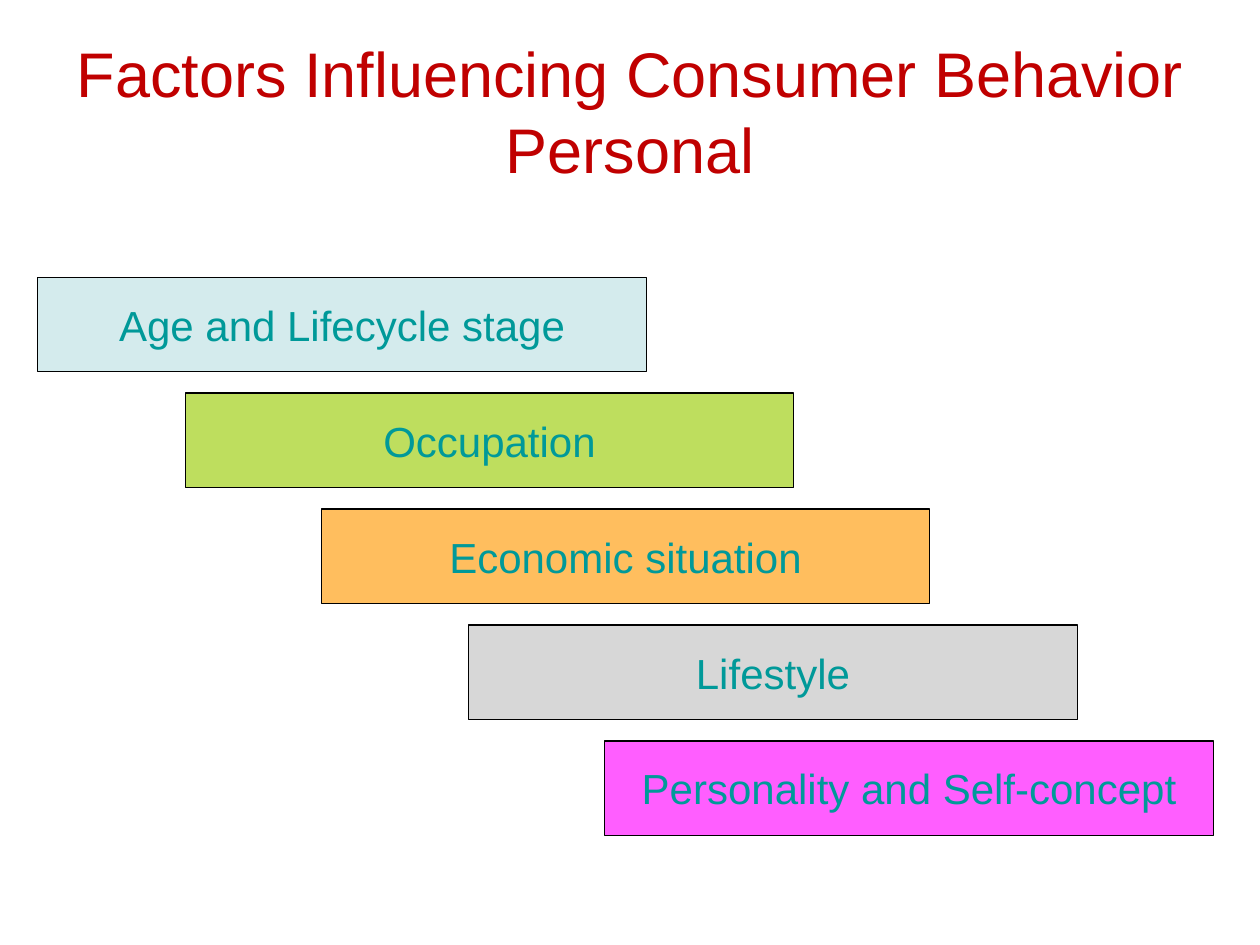
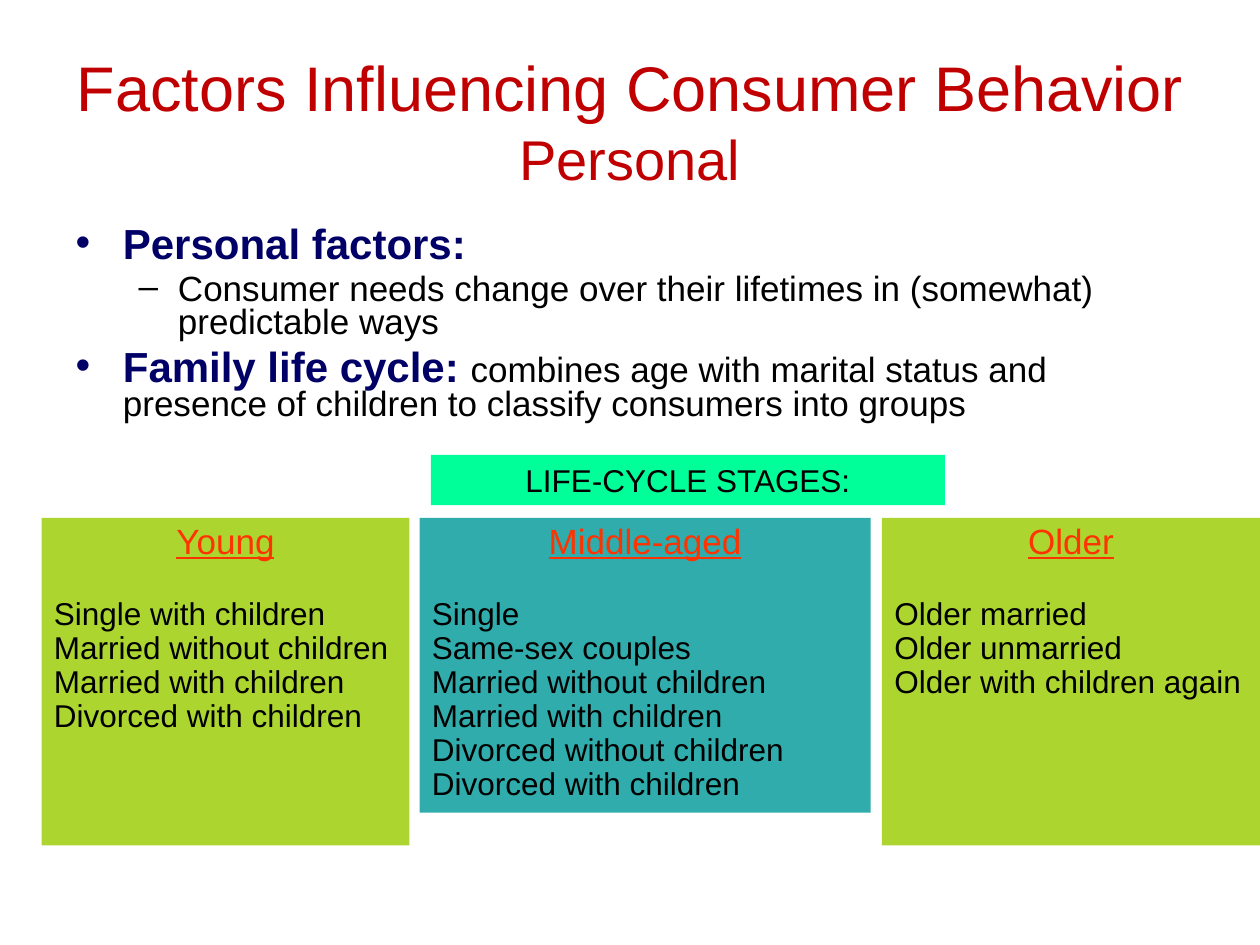
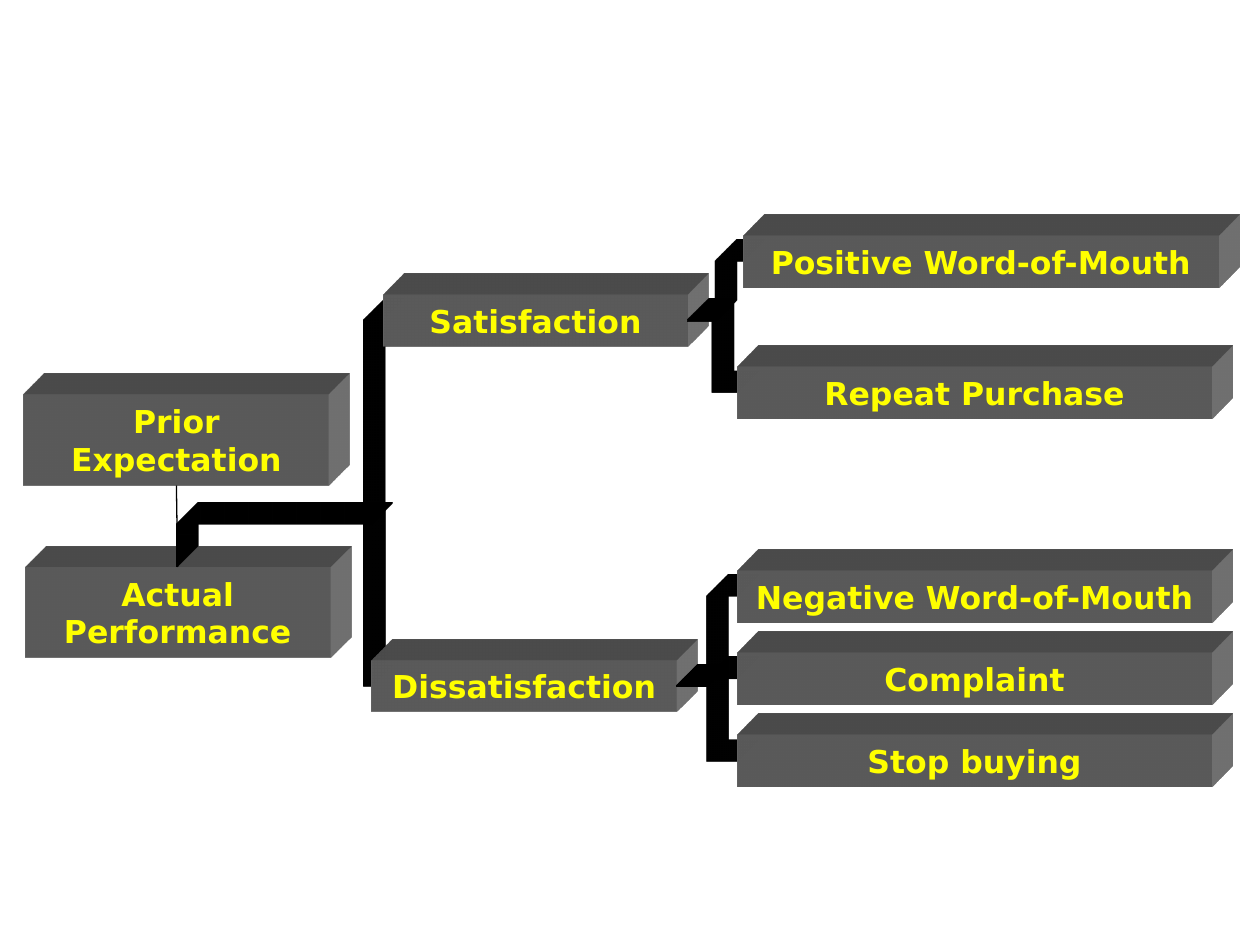
from lxml.etree import SubElement
from pptx import Presentation
from pptx.dml.color import RGBColor
from pptx.enum.shapes import MSO_CONNECTOR, MSO_SHAPE
from pptx.enum.text import MSO_ANCHOR, MSO_AUTO_SIZE, PP_ALIGN
from pptx.oxml import parse_xml
from pptx.oxml.ns import nsdecls, qn
from pptx.util import Inches, Pt

RED, NAVY, BLACK, TEAL = "C00000", "000066", "000000", "009999"
ORANGE, YELLOW, GRAY = "FF3300", "FFFF00", "808080"
HEADING = "Factors Influencing Consumer Behavior"


def style(p, size, color, bold=False, font="Arial", align=None):
    if align is not None:
        p.alignment = align
    for r in p.runs:
        r.font.name, r.font.size, r.font.bold = font, Pt(size), bold
        r.font.color.rgb = RGBColor.from_string(color)


def add_box(slide, x, y, w, h, fill, alpha=100):
    """Add a rectangle without outline; alpha is its opacity in percent."""
    sp = slide.shapes.add_shape(MSO_SHAPE.RECTANGLE, Inches(x), Inches(y), Inches(w), Inches(h))
    sp.shadow.inherit = False
    sp.fill.solid()
    sp.fill.fore_color.rgb = RGBColor.from_string(fill)
    if alpha < 100:
        color = sp._element.spPr.find(qn("a:solidFill"))[0]
        SubElement(color, qn("a:alpha"), val=str(alpha * 1000))
    sp.line.fill.background()
    sp.text_frame.word_wrap = True
    return sp


prs = Presentation()
prs.slide_width, prs.slide_height = Inches(10), Inches(7.5)
TITLE_AND_BODY, TITLE_ONLY, BLANK = (prs.slide_layouts[i] for i in (1, 5, 6))

# Titles of the first two slides
factors = prs.slides.add_slide(TITLE_ONLY)
stages = prs.slides.add_slide(TITLE_AND_BODY)
for slide, top, last_size in [(factors, 0.5, 36), (stages, 0.58, 32)]:
    title = slide.shapes.title
    title.left, title.top, title.width, title.height = map(Inches, (0.5, top, 9, 0.75))
    tf = title.text_frame
    tf.text = HEADING + "\vPersonal"
    tf.auto_size = MSO_AUTO_SIZE.NONE
    tf.vertical_anchor = MSO_ANCHOR.MIDDLE
    style(tf.paragraphs[0], 36, RED, align=PP_ALIGN.CENTER)
    tf.paragraphs[0].runs[-1].font.size = Pt(last_size)

# Slide 1: staircase of personal factors
STEPS = [
    ("Age and Lifecycle stage", 0.3, "BBE0E3"),
    ("Occupation", 1.47, "99CC00"),
    ("Economic situation", 2.55, "FF9900"),
    ("Lifestyle", 3.72, "C0C0C0"),
    ("Personality and Self-concept", 4.8, "FF00FF"),
]
for i, (text, left, fill) in enumerate(STEPS):
    sp = add_box(factors, left, 2.2 + 0.92 * i, 4.83, 0.75, fill, 63)
    sp.line.color.rgb = RGBColor.from_string(BLACK)
    sp.line.width = Pt(0.75)
    sp.text_frame.text = text
    style(sp.text_frame.paragraphs[0], 24, TEAL, align=PP_ALIGN.CENTER)

# Slide 2: bullets and life-cycle stages
BULLETS = [
    (0, "Personal factors:", ""),
    (1, "", "Consumer needs change over their lifetimes in (somewhat) predictable ways"),
    (0, "Family life cycle: ",
     "combines age with marital status and presence of children to classify consumers into groups"),
]
body = stages.placeholders[1]
body.left, body.top, body.width, body.height = map(Inches, (0.5, 1.75, 9, 1.77))
tf = body.text_frame
tf.auto_size = MSO_AUTO_SIZE.NONE
for i, (level, term, detail) in enumerate(BULLETS):
    p = tf.paragraphs[0] if i == 0 else tf.add_paragraph()
    p.level, p.line_spacing = level, 0.8
    for text in filter(None, (term, detail)):
        p.add_run().text = text
    style(p, 20, BLACK)
    if term:
        r = p.runs[0]
        r.font.size, r.font.bold = Pt(24), True
        r.font.color.rgb = RGBColor.from_string(NAVY)

CARDS = [
    ("Young", 0.33, 2.92, 2.6, "99CC00",
     ["Single with children", "Married without children", "Married with children",
      "Divorced with children"]),
    ("Middle-aged", 3.33, 3.58, 2.34, TEAL,
     ["Single", "Same-sex couples", "Married without children", "Married with children",
      "Divorced without children", "Divorced with children"]),
    ("Older", 7, 3, 2.6, "99CC00",
     ["Older married", "Older unmarried", "Older with children again"]),
]
for name, left, width, height, fill, groups in CARDS:
    tf = add_box(stages, left, 4.11, width, height, fill, 81).text_frame
    tf.vertical_anchor = MSO_ANCHOR.TOP
    tf.text = "\n".join([name] + groups)
    for p in tf.paragraphs:
        p.line_spacing = 0.9
        style(p, 18, BLACK, align=PP_ALIGN.LEFT)
    head = tf.paragraphs[0]
    style(head, 20, ORANGE, align=PP_ALIGN.CENTER)
    head.runs[0].font.underline = True
    head.space_after = Pt(21)

banner = add_box(stages, 3.42, 3.61, 4.08, 0.4, "00FF99")
banner.text_frame.text = "LIFE-CYCLE STAGES:"
style(banner.text_frame.paragraphs[0], 18, BLACK, align=PP_ALIGN.CENTER)

# Slide 3: from expectation to outcomes, all parts extruded
outcomes = prs.slides.add_slide(BLANK)
tree = outcomes.shapes._spTree
TOP, LEFT, BOTTOM, RIGHT = range(4)
JOIN_X, JOIN_Y = 2.89, 4.16
BOXES = [
    ("Actual Performance", 0.2, 4.5, 2.42, 0.72),
    ("Prior Expectation", 0.19, 3.13, 2.42, 0.72),
    ("Satisfaction", 3.04, 2.34, 2.42, 0.41),
    ("Dissatisfaction", 2.95, 5.24, 2.42, 0.41),
    ("Repeat Purchase", 5.85, 2.91, 3.77, 0.41),
    ("Positive Word-of-Mouth", 5.9, 1.87, 3.77, 0.41),
    ("Complaint", 5.85, 5.18, 3.77, 0.41),
    ("Stop buying", 5.85, 5.83, 3.77, 0.41),
    ("Negative Word-of-Mouth", 5.85, 4.53, 3.77, 0.41),
]
boxes = {}
for text, *place in BOXES:
    sp = boxes[text] = add_box(outcomes, *place, GRAY)
    sp.text_frame.text = text
    style(sp.text_frame.paragraphs[0], 18, YELLOW, True, "DejaVu Sans", PP_ALIGN.CENTER)

# Each link: start box and side, end box and side (or None for the joint), boxes in front of it
LINKS = [
    ("Satisfaction", LEFT, None, None, ["Satisfaction"]),
    ("Actual Performance", TOP, None, None, []),
    ("Actual Performance", TOP, "Prior Expectation", BOTTOM, ["Prior Expectation"]),
    ("Dissatisfaction", LEFT, None, None, ["Dissatisfaction"]),
]
for start, ends in [("Satisfaction", BOXES[4:6]), ("Dissatisfaction", BOXES[6:])]:
    LINKS += [(start, RIGHT, end[0], LEFT, [end[0]]) for end in ends]

for start, side, end, end_side, front in LINKS:
    kind = MSO_CONNECTOR.STRAIGHT if end_side == BOTTOM else MSO_CONNECTOR.ELBOW
    line = outcomes.shapes.add_connector(kind, Inches(2.95), Inches(JOIN_Y),
                                         Inches(JOIN_X), Inches(JOIN_Y))
    if end:
        line.begin_connect(boxes[start], side)
        line.end_connect(boxes[end], end_side)
    else:
        line._element.spPr.find(qn("a:prstGeom")).set("prst", "bentConnector2")
        if side == TOP:
            line.end_connect(boxes[start], side)
        else:
            line.begin_connect(boxes[start], side)
    line.line.color.rgb = RGBColor.from_string(BLACK)
    line.line.width = Pt(0.75)
    SubElement(line._element.spPr, qn("a:effectLst"))
    for name in front:
        tree.append(boxes[name]._element)

for sp in outcomes.shapes:
    color = BLACK if sp._element.tag == qn("p:cxnSp") else GRAY
    spPr = sp._element.spPr
    spPr.append(parse_xml(
        f'<a:scene3d {nsdecls("a")}><a:camera prst="legacyObliqueTopRight"/>'
        '<a:lightRig rig="legacyFlat3" dir="b"/></a:scene3d>'))
    spPr.append(parse_xml(
        f'<a:sp3d {nsdecls("a")} extrusionH="430200" prstMaterial="legacyMatte">'
        '<a:bevelT w="13500" h="13500" prst="angle"/><a:bevelB w="13500" h="13500" prst="angle"/>'
        f'<a:extrusionClr><a:srgbClr val="{color}"/></a:extrusionClr></a:sp3d>'))

prs.save("out.pptx")
